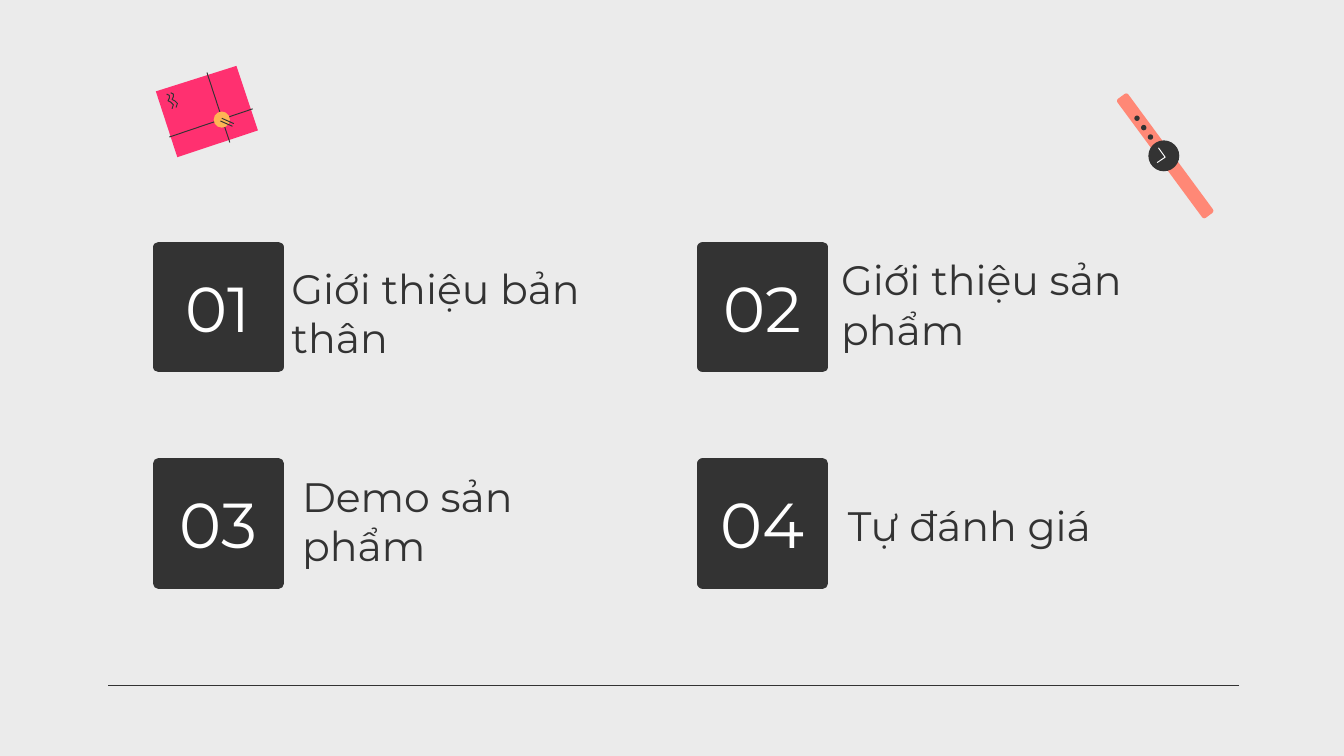
"""Build an agenda slide with four numbered topics, a gift and a watch."""
import pptx
import pptx.dml.color
import pptx.enum.shapes
import pptx.enum.text
import pptx.oxml
import pptx.oxml.ns
import pptx.util

Inches = pptx.util.Inches
Pt = pptx.util.Pt
Shape = pptx.enum.shapes.MSO_SHAPE
Anchor = pptx.enum.text.MSO_ANCHOR
Align = pptx.enum.text.PP_ALIGN

FONT = "Montserrat"
COLORS = {
    "back": "EBEBEB",
    "dark": "333333",
    "white": "FFFFFF",
    "pink": "FF3070",
    "gold": "FFB554",
    "coral": "FF8876",
}
SIDE = 0.89
LEFTS = (1.18, 5.23)
TOPS = (1.84, 3.45)
TOPICS = (
    ("Giới thiệu bản thân", 2.07, 1.85, 0.94),
    ("Giới thiệu sản phẩm", 6.16, 1.91, 0.82),
    ("Demo sản phẩm", 2.15, 3.45, 0.89),
    ("Tự đánh giá", 6.21, 3.48, 0.71),
)
CURL = ((1.27, 0.69), (1.29, 0.7), (1.29, 0.72), (1.28, 0.74),
        (1.3, 0.75), (1.32, 0.77), (1.31, 0.8))


def color(name):
    return pptx.dml.color.RGBColor.from_string(COLORS[name])


def paint(item, fill=None, line=None, width=0.5):
    item.shadow.inherit = False
    if fill:
        item.fill.solid()
        item.fill.fore_color.rgb = color(fill)
    else:
        item.fill.background()
    if line:
        item.line.color.rgb = color(line)
        item.line.width = Pt(width)
    else:
        item.line.fill.background()


def add_form(shapes, kind, left, top, width, height, fill):
    form = shapes.add_shape(kind, Inches(left), Inches(top), Inches(width), Inches(height))
    paint(form, fill)
    return form


def add_dot(shapes, x, y, size, fill):
    add_form(shapes, Shape.OVAL, x - size / 2, y - size / 2, size, size, fill)


def add_path(shapes, points, fill=None, line=None, close=False):
    spots = [(Inches(x), Inches(y)) for x, y in points]
    pen = shapes.build_freeform(*spots[0])
    pen.add_line_segments(spots[1:], close=close)
    paint(pen.convert_to_shape(), fill, line)


def add_line(shapes, start, end, width=0.5):
    kind = pptx.enum.shapes.MSO_CONNECTOR.STRAIGHT
    line = shapes.add_connector(kind, *map(Inches, start + end))
    line.line.color.rgb = color("dark")
    line.line.width = Pt(width)
    props = line._element.spPr
    props.append(pptx.oxml.parse_xml("<a:effectLst %s/>" % pptx.oxml.ns.nsdecls("a")))


def add_text(item, text, size, tint, anchor, align):
    frame = item.text_frame
    frame.word_wrap = True
    frame.vertical_anchor = anchor
    frame.margin_left = frame.margin_right = Inches(0.1)
    frame.margin_top = frame.margin_bottom = Inches(0.1)
    para = frame.paragraphs[0]
    para.alignment = align
    run = para.add_run()
    run.text = text
    run.font.name = FONT
    run.font.size = Pt(size)
    run.font.color.rgb = color(tint)


def add_badge(shapes, number, left, top):
    badge = add_form(shapes, Shape.RECTANGLE, left, top, SIDE, SIDE, "dark")
    paint(badge, "dark", "dark", 6)
    edge = badge.line._get_or_add_ln()
    edge.append(pptx.oxml.parse_xml("<a:round %s/>" % pptx.oxml.ns.nsdecls("a")))
    add_text(badge, f"{number:02}", 34, "white", Anchor.MIDDLE, Align.CENTER)


def add_topic(shapes, text, left, top, height):
    box = shapes.add_textbox(Inches(left), Inches(top), Inches(2.61), Inches(height))
    add_text(box, text, 22, "dark", Anchor.BOTTOM, Align.LEFT)


def add_gift(shapes):
    card = ((1.76, 0.49), (1.92, 0.97), (1.32, 1.17), (1.16, 0.68))
    add_path(shapes, card, fill="pink", close=True)
    add_line(shapes, (1.26, 1.02), (1.88, 0.81))
    add_line(shapes, (1.54, 0.54), (1.71, 1.06))
    add_dot(shapes, 1.65, 0.89, 0.12, "gold")
    add_line(shapes, (1.65, 0.88), (1.74, 0.92))
    add_line(shapes, (1.64, 0.9), (1.73, 0.94))
    for shift in (0, 0.01):
        add_path(shapes, [(x - 3 * shift, y + shift) for x, y in CURL], line="dark")


def add_watch(shapes):
    strap = add_form(shapes, Shape.ROUNDED_RECTANGLE, 8.12, 1.11, 1.1, 0.1, "coral")
    strap.adjustments[0] = 0.2
    strap.rotation = 53.6
    add_dot(shapes, 8.66, 1.16, 0.23, "dark")
    add_path(shapes, ((8.62, 1.1), (8.67, 1.17), (8.61, 1.21)), line="white")
    for step in range(3):
        add_dot(shapes, 8.46 + 0.05 * step, 0.88 + 0.07 * step, 0.04, "dark")


def main():
    deck = pptx.Presentation()
    deck.slide_width = Inches(10)
    deck.slide_height = deck.slide_width * 9 // 16
    slide = deck.slides.add_slide(deck.slide_layouts[6])
    slide.background.fill.solid()
    slide.background.fill.fore_color.rgb = color("back")
    shapes = slide.shapes
    add_line(shapes, (9.22, 5.1), (0.8, 5.1), 0.75)
    for index, topic in enumerate(TOPICS):
        row, col = divmod(index, 2)
        add_topic(shapes, *topic)
        add_badge(shapes, index + 1, LEFTS[col], TOPS[row])
    add_gift(shapes.add_group_shape().shapes)
    add_watch(shapes.add_group_shape().shapes)
    deck.save("out.pptx")


if __name__ == "__main__":
    main()
